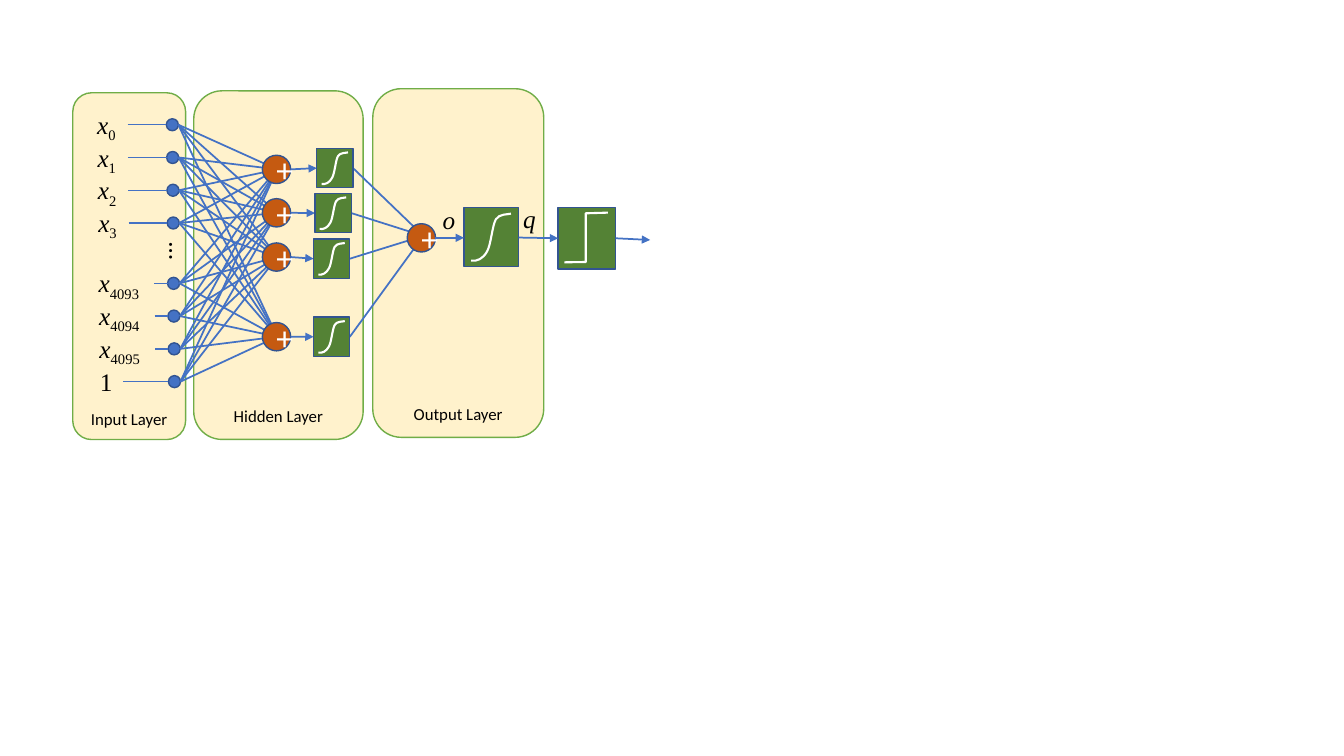
from itertools import pairwise

from lxml import etree
from pptx import Presentation
from pptx import util as u
from pptx.dml import color
from pptx.enum import shapes, text
from pptx.oxml import ns

COLORS = {
    "panel": "FFF2CC", "panel_line": "70AD47", "blue": "4472C4",
    "outline": "325491", "orange": "C55A11", "green": "548235",
    "white": "FFFFFF", "black": "000000",
}
# Unit-square control points: start, then three per Bézier piece
SIGMOID = [(0, 0.98), (0.15, 1), (0.3, 0.94), (0.4, 0.79), (0.5, 0.65),
           (0.53, 0.25), (0.62, 0.12), (0.7, 0), (0.93, 0.02), (1, 0)]


class Diagram:
    sans, serif = "Calibri", "Times New Roman"

    def __init__(self, slide):
        self.shapes = slide.shapes

    def rgb(self, name):
        return color.RGBColor.from_string(COLORS[name])

    def stroke(self, line, name, width):
        line.color.rgb = self.rgb(name)
        line.width = u.Pt(width)

    def style_run(self, r, size, font, name="black", italic=False):
        r.font.size = u.Pt(size)
        r.font.name = font
        r.font.italic = italic
        r.font.color.rgb = self.rgb(name)

    def shape(self, kind, x, y, w, h, fill, outline="outline"):
        sp = self.shapes.add_shape(kind, u.Pt(x), u.Pt(y), u.Pt(w), u.Pt(h))
        sp.shadow.inherit = False
        sp.fill.solid()
        sp.fill.fore_color.rgb = self.rgb(fill)
        self.stroke(sp.line, outline, 1)
        return sp

    def caption(self, sp, words, size, name, anchor):
        tf = sp.text_frame
        tf.text = words
        tf.vertical_anchor = anchor
        p = tf.paragraphs[0]
        p.alignment = text.PP_ALIGN.CENTER
        self.style_run(p.runs[0], size, self.sans, name)

    def panel(self, x, y, w, h, words):
        sp = self.shape(shapes.MSO_SHAPE.ROUNDED_RECTANGLE, x, y, w, h, "panel", "panel_line")
        self.caption(sp, words, 12, "black", text.MSO_ANCHOR.BOTTOM)

    def circle(self, cx, cy, d, fill):
        return self.shape(shapes.MSO_SHAPE.OVAL, cx - d / 2, cy - d / 2, d, d, fill)

    def neuron(self, cx, cy):
        sp = self.circle(cx, cy, 20.2, "orange")
        self.caption(sp, "+", 24, "white", text.MSO_ANCHOR.MIDDLE)

    def label(self, x, y, w, words, sub="", italic=True, font=serif, rotation=0):
        sp = self.shapes.add_textbox(u.Pt(x), u.Pt(y), u.Pt(w), u.Pt(28.8))
        sp.rotation = rotation
        tf = sp.text_frame
        tf.word_wrap = False
        tf.auto_size = text.MSO_AUTO_SIZE.SHAPE_TO_FIT_TEXT
        tf.text = words
        p = tf.paragraphs[0]
        self.style_run(p.runs[0], 18, font, italic=italic)
        if sub:
            r = p.add_run()
            r.text = sub
            self.style_run(r, 18, font)
            r._r.get_or_add_rPr().set("baseline", "-25000")

    def line(self, start, end, width=1.25, arrow=True):
        cn = self.shapes.add_connector(
            shapes.MSO_CONNECTOR.STRAIGHT, *(u.Pt(v) for v in (*start, *end)))
        self.stroke(cn.line, "blue", width)
        if arrow:
            etree.SubElement(cn.line._get_or_add_ln(), ns.qn("a:tailEnd"), type="triangle")
        etree.SubElement(cn._element.spPr, ns.qn("a:effectLst"))

    def trace(self, points, curved=False):
        start, *rest = [(u.Pt(x), u.Pt(y)) for x, y in points]
        builder = self.shapes.build_freeform(*start)
        builder.add_line_segments(rest, close=False)
        sp = builder.convert_to_shape()
        sp.shadow.inherit = False
        sp.fill.background()
        self.stroke(sp.line, "white", 1.5)
        if curved:
            # Each three segments become one Bézier piece
            segments = list(sp._element.spPr.iter(ns.qn("a:lnTo")))
            for i in range(0, len(segments), 3):
                piece = etree.Element(ns.qn("a:cubicBezTo"))
                segments[i].addprevious(piece)
                for segment in segments[i:i + 3]:
                    piece.append(segment[0])
                    segment.getparent().remove(segment)

    def box(self, x, y, w, h):
        self.shape(shapes.MSO_SHAPE.RECTANGLE, x, y, w, h, "green")

    def sigmoid(self, x, y, w, h):
        self.box(x, y, w, h)
        self.trace([(x + w * (0.13 + 0.73 * a), y + h * (0.1 + 0.82 * b))
                    for a, b in SIGMOID], curved=True)


def main():
    prs = Presentation()
    prs.slide_width, prs.slide_height = u.Pt(960), u.Pt(540)
    d = Diagram(prs.slides.add_slide(prs.slide_layouts[6]))

    # Layer panels
    d.panel(266.3, 63.4, 122.1, 249, "Output Layer")
    d.panel(138.4, 64.9, 121, 249, "Hidden Layer")
    d.panel(52, 66.3, 80.6, 247.7, "Input Layer")

    # Inputs: two runs of four, evenly spaced
    dot, pitch = 8.6, 23.4
    subscripts = ["0", "1", "2", "3", "4093", "4094", "4095", ""]
    sources = []
    for i, sub in enumerate(subscripts):
        cx = 123.1 + 0.22 * i
        cy = (89.1 if i < 4 else 202.4) + pitch * (i % 4)
        x = 62.3 + 0.28 * i
        w = {0: 23.8, 1: 28.8, 4: 46.8}[len(sub)]
        d.circle(cx, cy, dot, "blue")
        d.label(x, cy - 14.7, w, "x" if sub else "1", sub, italic=bool(sub))
        d.line((x + w, cy), (cx - dot / 2, cy), 1, arrow=False)
        sources.append((cx + dot / 2, cy))
    d.label(114.3, 165.6, 27.4, "…", italic=False, font=d.sans, rotation=90)

    # Hidden layer: fully connected neurons, each with its sigmoid
    radius, w, h = 10.1, 25.9, 28.1
    output = (301, 169.9)
    hidden = [(121, 226.3, 120.1), (152, 225, 152.2),
              (183.6, 224, 184.8), (240.5, 224, 240.6)]
    for cy, x, mid in hidden:
        for source in sources:
            d.line(source, (198, cy))
        d.neuron(197.5, cy)
        d.line((197.5 + radius, cy), (x, mid))
        d.line((x + w, mid), (302.4, 168.5))
        d.sigmoid(x, mid - h / 2, w, h)

    # Output layer and threshold
    d.neuron(*output)
    d.sigmoid(331.4, 148.4, 39.1, 41.8)
    d.box(398.7, 148.4, 41.1, 43.8)
    d.trace([(403.2, 187.4), (418.4, 187.2), (418.4, 152.4), (434.2, 151.9)])
    d.label(309.1, 142.6, 23.8, "o")
    d.label(366.7, 141.5, 23.8, "q")
    stops = [(output[0] + radius, 169.9), (331.4, 169.9), (370.5, 169.7),
             (398.7, 170.2), (439.8, 170.2), (464.4, 171.4)]
    for start, end in list(pairwise(stops))[::2]:
        d.line(start, end)

    prs.save("out.pptx")


if __name__ == "__main__":
    main()
